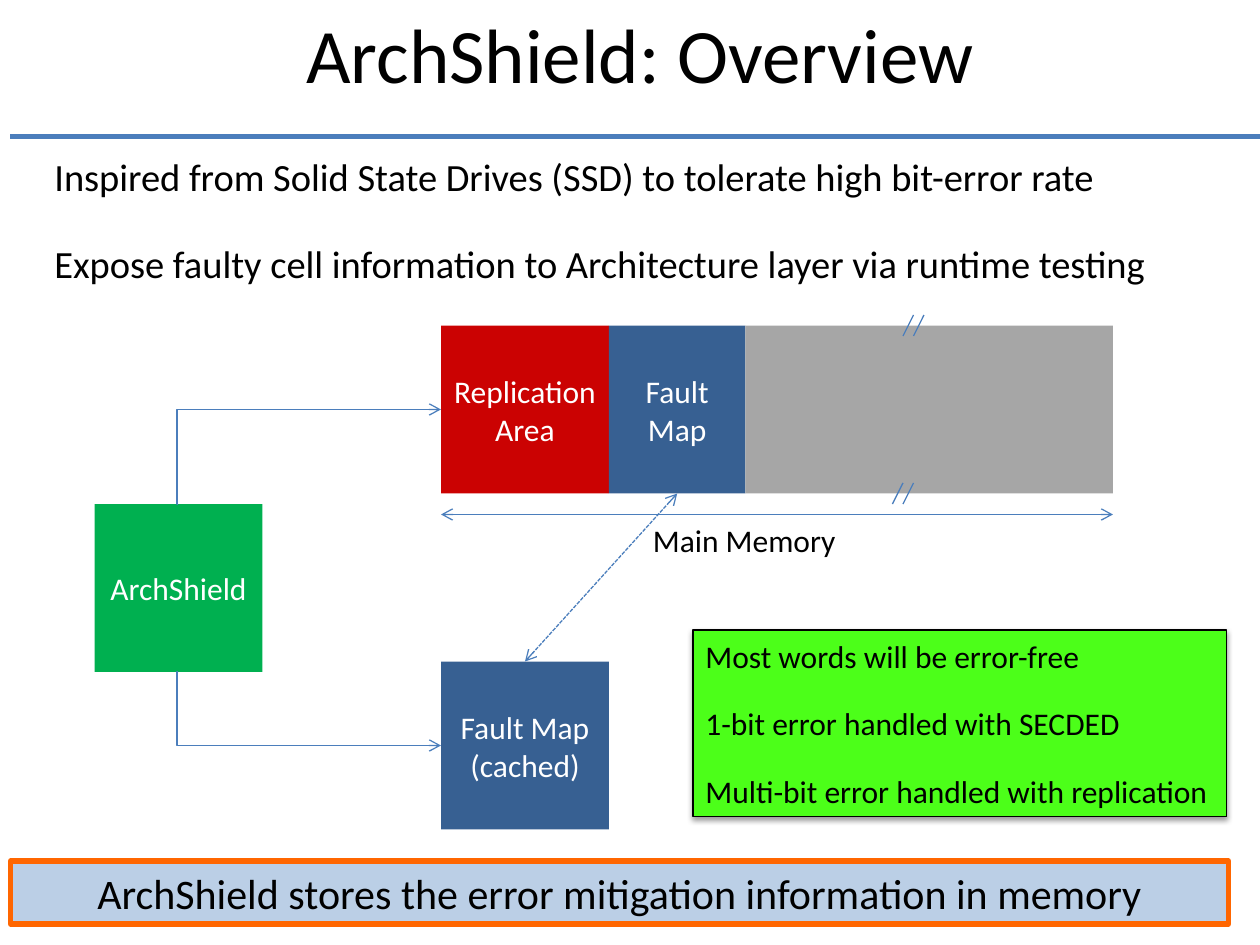
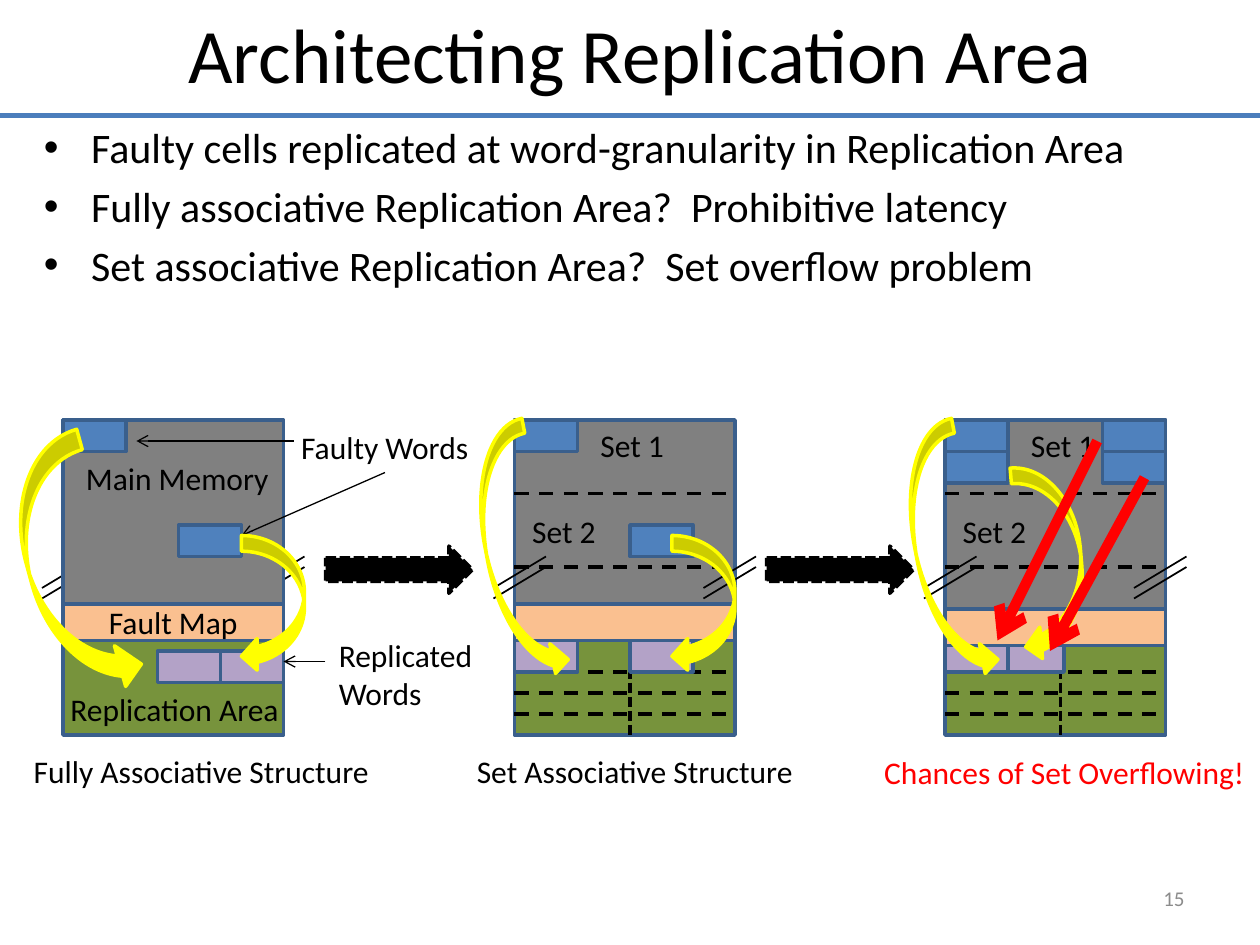
import pptx
import pptx.dml.color
import pptx.enum.dml
import pptx.enum.shapes
import pptx.enum.text
import pptx.oxml.ns
import pptx.util
from lxml import etree

Pt = pptx.util.Pt
qn = pptx.oxml.ns.qn
SHAPE = pptx.enum.shapes.MSO_SHAPE
CONNECTOR = pptx.enum.shapes.MSO_CONNECTOR
ALIGN = pptx.enum.text.PP_ALIGN
ANCHOR = pptx.enum.text.MSO_ANCHOR
DASH = pptx.enum.dml.MSO_LINE.DASH
SHORT_DASH = pptx.enum.dml.MSO_LINE.SQUARE_DOT

BLACK, WHITE, RED, YELLOW = "000000", "FFFFFF", "FF0000", "FFFF00"
RULE_BLUE, DARK_BLUE, OUTLINE = "4B7EBC", "376092", "3A5F8C"
GREY, GREEN, PEACH = "808080", "77933C", "FAC090"
FAULTY, REPLICA = "4F81BD", "B3A2C7"

MEMORY_W, MEMORY_TOP, MEMORY_H, REPLICATION_H = 126, 240, 126, 54
WORD_W, WORD_H = 36, 18


def rgb(color):
    return pptx.dml.color.RGBColor.from_string(color)


class Deck:
    font = "Calibri"

    def __init__(self):
        self.prs = pptx.Presentation()
        self.prs.slide_width, self.prs.slide_height = Pt(720), Pt(540)

    def slide(self, title, rule_x, rule_y):
        self.s = self.prs.slides.add_slide(self.prs.slide_layouts[5])
        self.shapes = self.s.shapes
        sp = self.s.shapes.title
        sp.left, sp.top, sp.width, sp.height = Pt(48), Pt(0), Pt(636), Pt(69)
        self.fill_text(sp, title, 44, BLACK, ALIGN.CENTER, ANCHOR.TOP)
        self.line((rule_x, rule_y), (rule_x + 720, rule_y), RULE_BLUE, 3)

    def group(self):
        """Send the following elements into a new group."""
        self.shapes = self.s.shapes.add_group_shape().shapes

    def ungroup(self):
        self.shapes = self.s.shapes

    def fill_text(self, sp, text, size, color, align, anchor, wrap=True, gap=0,
                  bullet=False):
        tf = sp.text_frame
        tf.text = text
        tf.word_wrap = wrap
        tf.vertical_anchor = anchor
        for i, p in enumerate(tf.paragraphs):
            p.alignment = align
            p.space_before = Pt(gap if i else 0)
            if bullet:
                pPr = p._p.get_or_add_pPr()
                pPr.set("marL", str(Pt(27)))
                pPr.set("indent", str(Pt(-27)))
                etree.SubElement(pPr, qn("a:buFont"), typeface="Arial")
                etree.SubElement(pPr, qn("a:buChar"), char="•")
            for r in p.runs:
                r.font.name, r.font.size = self.font, Pt(size)
                r.font.color.rgb = rgb(color)

    def text(self, x, y, w, h, text, size=18, color=BLACK, align=ALIGN.LEFT,
             anchor=ANCHOR.TOP, **options):
        sp = self.shapes.add_textbox(Pt(x), Pt(y), Pt(w), Pt(h))
        self.fill_text(sp, text, size, color, align, anchor, **options)

    def shape(self, x, y, w, h, fill, line=None, width=2, kind=SHAPE.RECTANGLE,
              text="", size=18, color=WHITE, align=ALIGN.CENTER, rotation=0,
              dash=None, **options):
        sp = self.shapes.add_shape(kind, Pt(x), Pt(y), Pt(w), Pt(h))
        sp.shadow.inherit = False
        sp.rotation = rotation
        sp.fill.solid()
        sp.fill.fore_color.rgb = rgb(fill)
        if line:
            sp.line.color.rgb = rgb(line)
            sp.line.width = Pt(width)
            if dash:
                sp.line.dash_style = dash
        else:
            sp.line.fill.background()
        if text:
            self.fill_text(sp, text, size, color, align, ANCHOR.MIDDLE,
                           **options)
        return sp

    def line(self, start, end, color=BLACK, width=0.75, dash=None, head=False,
             tail=False, kind=CONNECTOR.STRAIGHT):
        cxn = self.shapes.add_connector(kind, *map(Pt, start + end))
        cxn.line.color.rgb = rgb(color)
        cxn.line.width = Pt(width)
        if dash:
            cxn.line.dash_style = dash
        ln = cxn._element.spPr.find(qn("a:ln"))
        for tag, wanted in (("a:headEnd", head), ("a:tailEnd", tail)):
            if wanted:
                etree.SubElement(ln, qn(tag), type="arrow")
        etree.SubElement(cxn._element.spPr, qn("a:effectLst"))
        return cxn

    def elbow(self, source, side, target, start, end):
        """Leave source vertically and enter the left side of target."""
        cxn = self.line(start, end, RULE_BLUE, tail=True, kind=CONNECTOR.ELBOW)
        cxn.begin_connect(source, side)
        cxn.end_connect(target, 1)
        guides = cxn._element.spPr.find(qn("a:prstGeom")).find(qn("a:avLst"))
        etree.SubElement(guides, qn("a:gd"), name="adj1", fmla="val -600")

    def drop_shadow(self, sp):
        effects = sp._element.spPr.find(qn("a:effectLst"))
        shadow = etree.SubElement(
            effects, qn("a:outerShdw"), blurRad=str(Pt(3.1)),
            dist=str(Pt(1.6)), dir="5400000", rotWithShape="0")
        clr = etree.SubElement(shadow, qn("a:srgbClr"), val=BLACK)
        etree.SubElement(clr, qn("a:alpha"), val="38000")

    def words(self, x, offsets, fill):
        for dx, dy, w in offsets:
            self.shape(x + dx, MEMORY_TOP + dy, w, WORD_H, fill, OUTLINE)

    def memory(self, x):
        self.shape(x, MEMORY_TOP, MEMORY_W, MEMORY_H, GREY, OUTLINE)
        self.shape(x, MEMORY_TOP + MEMORY_H, MEMORY_W, REPLICATION_H,
                   GREEN, OUTLINE)

    def breaks(self, x):
        """Draw the pair of slanted cut marks on both sides of a memory."""
        for left in (x - 12, x + MEMORY_W - 18):
            for y in (336, 342):
                self.line((left, y), (left + 30, y - 18), width=1)

    def set_memory(self, x, faulty, replicas, map_y):
        self.memory(x)
        self.words(x, faulty, FAULTY)
        self.breaks(x)
        for dy in (42, 84, 144, 156, 168):
            y = MEMORY_TOP + dy
            self.line((x, y), (x + MEMORY_W, y), width=2, dash=DASH)
        self.line((x + 66, 366), (x + 66, 420), width=2, dash=SHORT_DASH)
        self.text(x + 42, 240, 51, 29, "Set 1", wrap=False)
        self.text(x + 3, 289, 51, 29, "Set 2", wrap=False)
        self.words(x, replicas, REPLICA)
        self.shape(x, map_y, MEMORY_W, 21, PEACH, OUTLINE)

    def curved(self, kind, x, y, w, h, rotation=0):
        self.shape(x, y, w, h, YELLOW, YELLOW, kind=kind, rotation=rotation)


def overview(d):
    d.slide("ArchShield: Overview", 6, 78)
    shield = d.shape(54, 288, 96, 96, "00B050", text="ArchShield")
    replication = d.shape(252, 186, 96, 96, "CB0202", text="Replication Area")
    cached = d.shape(252, 378, 96, 96, DARK_BLUE, text="Fault Map\n(cached)")
    d.elbow(shield, 0, replication, (102, 288), (252, 234))
    d.elbow(shield, 2, cached, (102, 384), (252, 426))
    fault_map = d.shape(348, 186, 78, 96, DARK_BLUE, text="Fault Map")
    d.shape(426, 186, 210, 96, "A6A6A6")
    d.line((252, 294), (636, 294), RULE_BLUE, head=True, tail=True)
    d.text(366, 294, 120, 29, "Main Memory", wrap=False)
    cache_link = d.line((387, 282), (300, 378), RULE_BLUE, dash=SHORT_DASH,
                        head=True, tail=True)
    cache_link.begin_connect(fault_map, 2)
    cache_link.end_connect(cached, 0)
    for x, y in ((510, 288), (516, 192)):
        for left in (x, x + 6):
            d.line((left, y), (left + 6, y - 12), RULE_BLUE)
    d.text(24, 84, 678, 86,
           "Inspired from Solid State Drives (SSD) to tolerate high bit-error rate\n"
           "Expose faulty cell information to Architecture layer via runtime testing",
           22, gap=23.5)
    d.shape(6, 492, 696, 36, "BBCFE6", "FF6600", 3, size=24, color=BLACK,
            text="ArchShield stores the error mitigation information in memory")
    cases = d.shape(396, 360, 305, 106.6, "4CFF19", BLACK, 0.75, color=BLACK,
                    align=ALIGN.LEFT, wrap=False, gap=16.8,
                    text="Most words will be error-free\n"
                         "1-bit error handled with SECDED\n"
                         "Multi-bit error handled with replication")
    d.drop_shadow(cases)


def replication_area(d):
    d.slide("Architecting Replication Area", 0, 66)
    d.text(510, 498, 174, 31, "15", 12, "8C8C8C", ALIGN.RIGHT, ANCHOR.MIDDLE)
    d.text(18, 66, 702, 456,
           "Faulty cells replicated at word-granularity in Replication Area\n"
           "Fully associative Replication Area?  Prohibitive latency\n"
           "Set associative Replication Area?  Set overflow problem",
           24, gap=4.8, bullet=True)
    for x in (186, 438):
        d.shape(x, 312, 84, 27, BLACK, BLACK, kind=SHAPE.RIGHT_ARROW,
                dash=SHORT_DASH)
    d.text(12.2, 426, 209, 29, "Fully Associative Structure", wrap=False)
    d.text(265.4, 426, 200, 29, "Set Associative Structure", wrap=False)
    d.text(498.2, 427, 221.8, 29, "Chances of Set Overflowing!", color=RED)

    fully, by_set, overflow = 36, 294, 540
    corner, inner = (0, 0, WORD_W), (66, 60, WORD_W)

    d.group()
    d.breaks(fully)
    d.memory(fully)
    d.words(fully, [corner, inner], FAULTY)
    d.words(fully, [(54, 132, WORD_W), (90, 132, WORD_W)], REPLICA)
    d.text(33.1, 391, 135.4, 29, "Replication Area", wrap=False)
    d.shape(fully, 345, MEMORY_W, 21, PEACH, OUTLINE, text="Fault Map",
            color=BLACK)
    d.text(42, 259, 120, 29, "Main Memory", wrap=False)
    d.text(165, 241, 111, 29, "Faulty Words", wrap=False)
    d.text(186.5, 360, 96, 51, "Replicated\nWords", wrap=False)
    for start, end in (((168, 252), (78, 252)), ((220, 270), (138, 306)),
                       ((186, 378), (162, 378))):
        d.line(start, end, tail=True)
    d.curved(SHAPE.CURVED_LEFT_ARROW, 138, 306, 36, 78)
    d.curved(SHAPE.CURVED_RIGHT_ARROW, 16.6, 249, 48.2, 151.2, 344.6)

    d.group()
    d.set_memory(by_set, [corner, inner],
                 [(0, 126, WORD_W), (66, 126, WORD_W)], 345)
    d.curved(SHAPE.CURVED_LEFT_ARROW, 384, 306, 36, 78)
    d.curved(SHAPE.CURVED_RIGHT_ARROW, 278, 241, 34.6, 149, 349.1)

    d.group()
    d.set_memory(overflow,
                 [(dx, dy, WORD_W) for dy in (0, WORD_H) for dx in (0, 90)],
                 [(0, 126, WORD_W), (36, 126, 32)], 348)
    d.curved(SHAPE.CURVED_LEFT_ARROW, 582, 265.7, 36, 111.6, 355)
    d.curved(SHAPE.CURVED_RIGHT_ARROW, 523.5, 241, 34.6, 149, 349.1)

    d.ungroup()
    d.line((627, 252), (570, 366), RED, 6, tail=True)
    d.line((654, 273), (600, 372), RED, 6, tail=True)


def main():
    d = Deck()
    overview(d)
    replication_area(d)
    d.prs.save("out.pptx")


if __name__ == "__main__":
    main()
